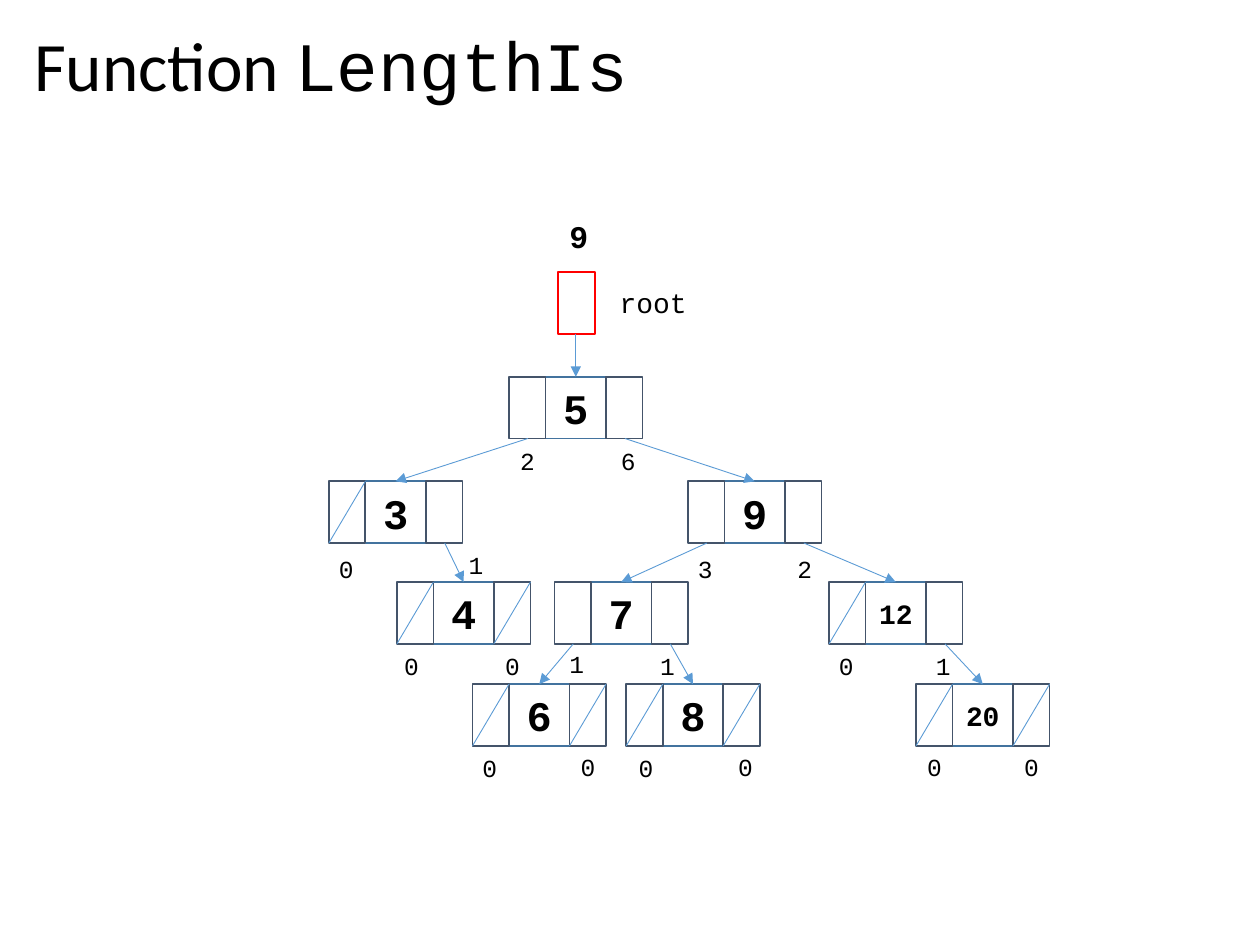
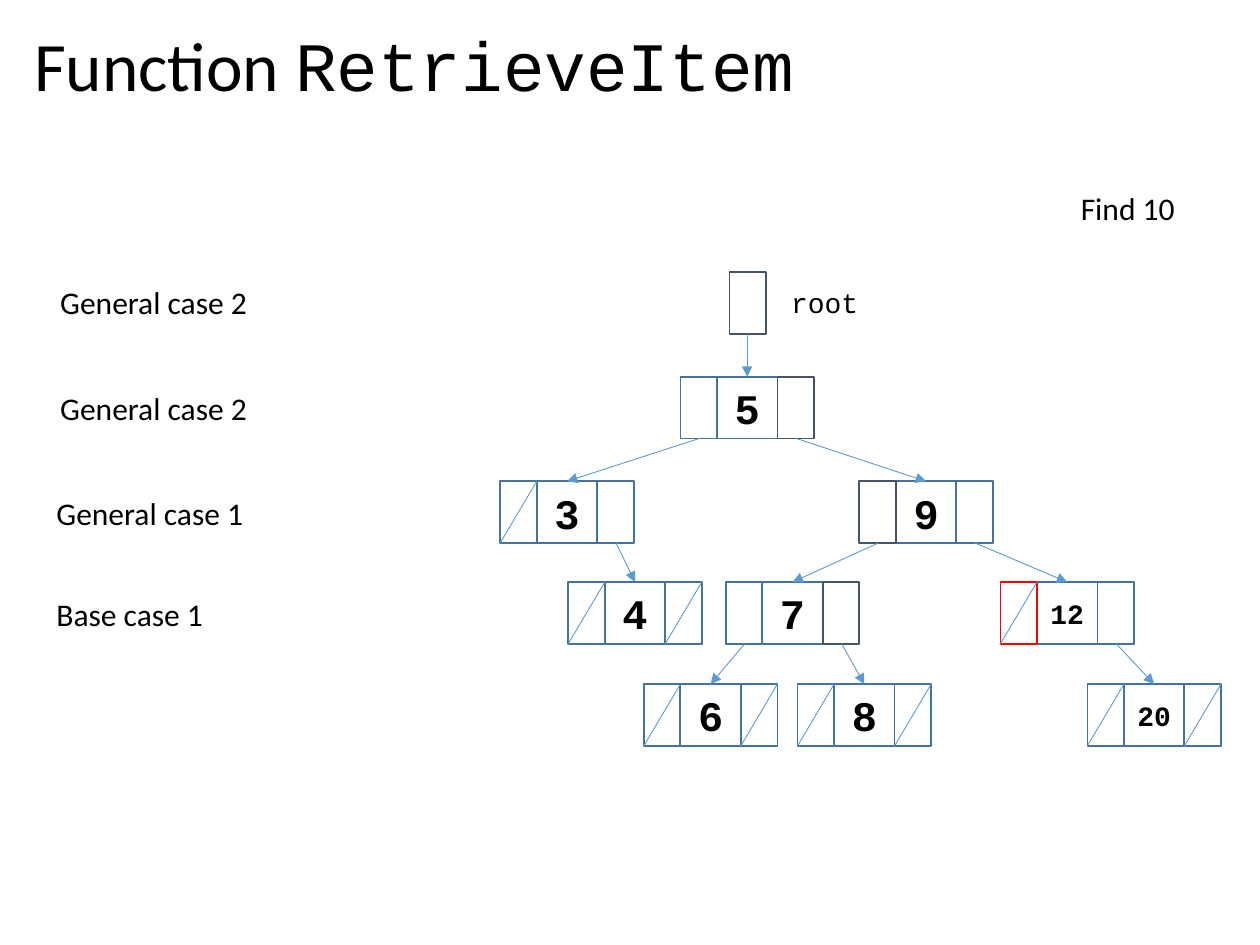
import lxml.etree
import pptx
import pptx.dml.color
import pptx.enum.shapes
import pptx.enum.text
import pptx.oxml.ns
import pptx.util
from dataclasses import dataclass


@dataclass(frozen=True)
class Theme:
    ink: str = "000000"
    dark: str = "44546A"
    blue: str = "43739E"
    sky: str = "5B9BD5"
    red: str = "FF0000"
    sans: str = "Calibri"
    mono: str = "Courier New"
    title: float = 39.6
    key: int = 24
    note: int = 18
    small: int = 16
    count: int = 14


T = Theme()
PX = 9144  # 100 px to the inch
RGB = pptx.dml.color.RGBColor.from_string
ALIGN = pptx.enum.text.PP_ALIGN
ANCHOR = pptx.enum.text.MSO_ANCHOR
FIT = pptx.enum.text.MSO_AUTO_SIZE
RECT = pptx.enum.shapes.MSO_SHAPE.RECTANGLE
LINE = pptx.enum.shapes.MSO_CONNECTOR.STRAIGHT
QN = pptx.oxml.ns.qn


def write(shape, text, font=T.mono, size=T.count, bold=False, align=ALIGN.LEFT,
          anchor=ANCHOR.TOP, wrap=True, fit=FIT.NONE):
    """Add a formatted run to the first paragraph of a shape."""
    frame = shape.text_frame
    frame.word_wrap, frame.auto_size, frame.vertical_anchor = wrap, fit, anchor
    para = frame.paragraphs[0]
    para.alignment = align
    run = para.add_run()
    run.text = text
    run.font.name, run.font.size, run.font.bold = font, pptx.util.Pt(size), bold
    run.font.color.rgb = RGB(T.ink)


def link(page, x1, y1, x2, y2, arrow=True):
    """Draw a thin line, with an arrowhead at its end if wanted."""
    wire = page.shapes.add_connector(LINE, x1 * PX, y1 * PX, x2 * PX, y2 * PX)
    wire.line.color.rgb = RGB(T.sky)
    wire.line.width = pptx.util.Pt(0.5)
    props = wire.element.spPr
    if arrow:
        lxml.etree.SubElement(props.find(QN("a:ln")), QN("a:tailEnd"), type="triangle")
    lxml.etree.SubElement(props, QN("a:effectLst"))


# Tree: key -> left edge, level, left child, right child
TREE = {
    "5": (404, 0, "3", "9"),
    "3": (261, 1, None, "4"),
    "9": (546, 1, "7", "12"),
    "7": (440, 2, "6", "8"),
    "12": (658, 2, None, "20"),
    "4": (315, 2, None, None),
    "6": (375, 3, None, None),
    "8": (497, 3, None, None),
    "20": (727, 3, None, None),
}
TOPS = [299, 382, 462, 543]
SIDE, MID, TALL = 29, 48, 49
WIDE = 2 * SIDE + MID
ROOT_X, ROOT_Y = 443, 216

# Subtree sizes under the nodes: text, left, top
COUNTS = [
    ("2", 403, 349), ("6", 483, 349),
    ("0", 259, 435), ("1", 362, 432), ("3", 544, 435), ("2", 623, 435),
    ("0", 311, 512), ("0", 391, 512), ("1", 442, 510), ("1", 514, 512),
    ("0", 656, 512), ("1", 733, 512),
    ("0", 373, 593), ("0", 451, 592), ("0", 497, 593), ("0", 576, 592),
    ("0", 726, 592), ("0", 803, 592),
]
SIZE = dict(size=T.count, wrap=False)
TOTAL = dict(size=T.note, bold=True, wrap=False)
CASE = dict(font=T.sans, size=T.note)

# Pages: function, shift of the tree, root colour, cell colour, marked cells, notes
PAGES = [
    ("LengthIs", 0, T.red, T.dark, {},
     [(text, x, y, 32, 34, SIZE) for text, x, y in COUNTS]
     + [("9", 442, 167, 35, 40, TOTAL)]),
    ("RetrieveItem", 136, T.dark, T.blue,
     {("5", "right"): T.dark, ("9", "left"): T.dark,
      ("7", "right"): T.dark, ("12", "left"): T.red},
     [("Find 10", 848, 145, 123, 41, CASE),
      ("General case 2", 38, 220, 214, 40, CASE),
      ("General case 2", 38, 304, 214, 40, CASE),
      ("General case 1", 35, 387, 214, 40, CASE),
      ("Base case 1", 35, 467, 214, 40, CASE)]),
]

deck = pptx.Presentation()
deck.slide_width, deck.slide_height = 1000 * PX, 750 * PX

for name, shift, root_hue, cell_hue, marks, notes in PAGES:
    page = deck.slides.add_slide(deck.slide_layouts[5])

    # Title
    head = page.shapes.title
    head.left, head.top, head.width, head.height = 17 * PX, 18 * PX, 962 * PX, 74 * PX
    for text, font in [("Function ", T.sans), (name, T.mono)]:
        write(head, text, font=font, size=T.title, anchor=ANCHOR.MIDDLE)
    head.text_frame.paragraphs[0].line_spacing = 0.9

    # Boxes: each node has a key cell and two pointer cells
    boxes = [(ROOT_X + shift, ROOT_Y, SIDE, root_hue, "")]
    for key, (x, level, left, right) in TREE.items():
        x, y = x + shift, TOPS[level]
        boxes += [
            (x + SIDE, y, MID, T.blue, key),
            (x + SIDE + MID, y, SIDE, marks.get((key, "right"), cell_hue), ""),
            (x, y, SIDE, marks.get((key, "left"), cell_hue), ""),
        ]
    for x, y, wide, hue, key in boxes:
        box = page.shapes.add_shape(RECT, x * PX, y * PX, wide * PX, TALL * PX)
        box.shadow.inherit = False
        box.fill.background()
        box.line.color.rgb = RGB(hue)
        box.line.width = pptx.util.Pt(1)
        if key:
            write(box, key, size=T.key if len(key) == 1 else T.small, bold=True,
                  align=ALIGN.CENTER, anchor=ANCHOR.MIDDLE)

    # Links: an arrow to each child, a slash through each null pointer
    mid = ROOT_X + shift + SIDE // 2
    link(page, mid, ROOT_Y + TALL, mid, TOPS[0])
    for x, level, left, right in TREE.values():
        y = TOPS[level]
        for child, cell in [(left, x + shift), (right, x + shift + SIDE + MID)]:
            if child:
                goal, depth = TREE[child][:2]
                link(page, cell + SIDE // 2 + 1, y + TALL,
                     goal + shift + WIDE // 2, TOPS[depth])
            else:
                link(page, cell + SIDE, y, cell, y + TALL, arrow=False)

    # Notes
    label = ("root", 482 + shift, 222, 212, 37, dict(size=T.small))
    for text, x, y, wide, tall, style in [label] + notes:
        box = page.shapes.add_textbox(x * PX, y * PX, wide * PX, tall * PX)
        write(box, text, fit=FIT.SHAPE_TO_FIT_TEXT, **style)

deck.save("out.pptx")
